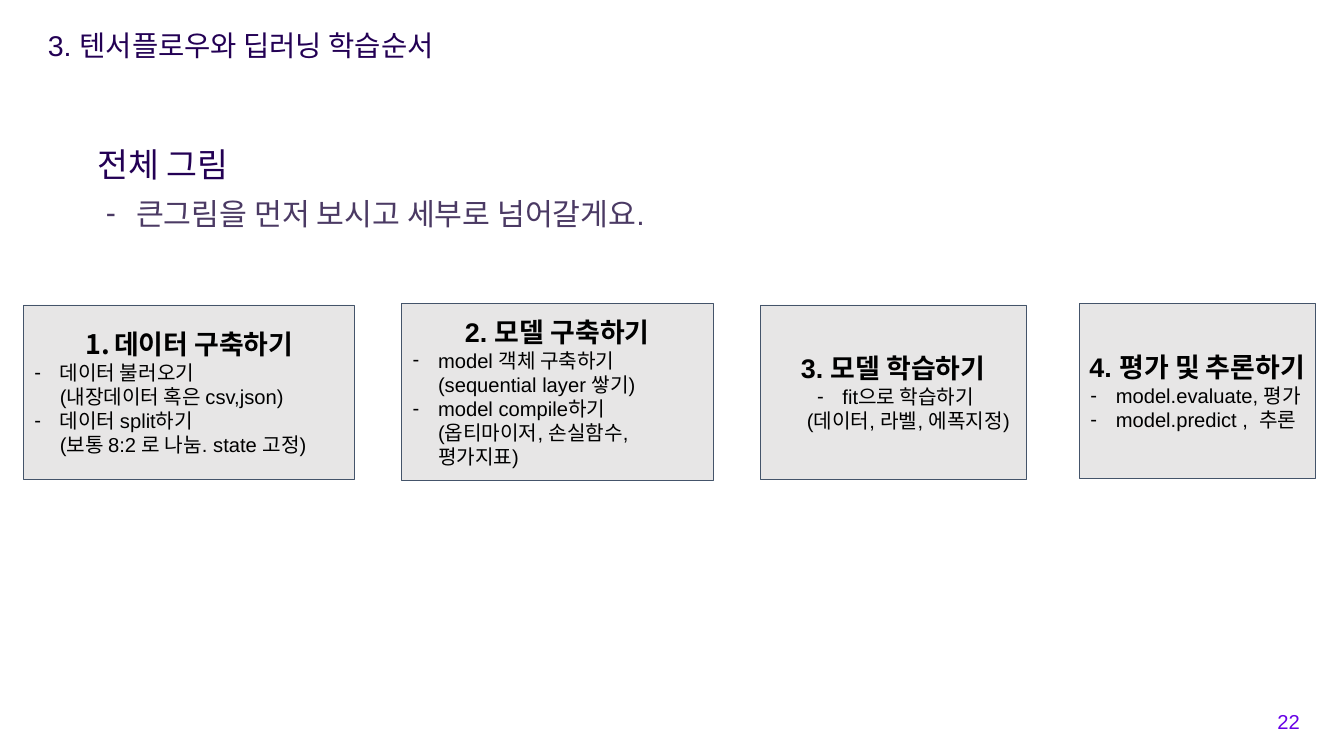
from dataclasses import dataclass

import lxml.etree
import pptx
import pptx.dml.color
import pptx.enum.shapes
import pptx.enum.text
import pptx.oxml.ns
import pptx.util

Inches = pptx.util.Inches
RGBColor = pptx.dml.color.RGBColor
Align = pptx.enum.text.PP_ALIGN
Anchor = pptx.enum.text.MSO_ANCHOR

INDIGO = RGBColor(0x23, 0x00, 0x54)
MUTED = RGBColor(0x4B, 0x3A, 0x64)
VIOLET = RGBColor(0x67, 0x00, 0xE6)
BLACK = RGBColor(0x00, 0x00, 0x00)
GRAY = RGBColor(0xE7, 0xE6, 0xE6)
SLATE = RGBColor(0x44, 0x54, 0x6A)


@dataclass
class Step:
    left: float
    top: float
    width: float
    height: float
    heading: str
    items: list[str]
    numbered: bool = False
    item_align: Align = Align.LEFT


STEPS = [
    Step(0.39, 5.04, 5.46, 2.89, "데이터 구축하기",
         ["데이터 불러오기\v(내장데이터 혹은 csv,json)",
          "데이터 split하기\v(보통 8:2 로 나눔. state 고정)"], numbered=True),
    Step(6.64, 5.02, 5.14, 2.93, "2. 모델 구축하기",
         ["model 객체 구축하기\v(sequential layer 쌓기)",
          "model compile하기\v(옵티마이저, 손실함수, 평가지표)"]),
    Step(12.56, 5.04, 4.4, 2.89, "3. 모델 학습하기",
         ["fit으로 학습하기\v(데이터, 라벨, 에폭지정)"], item_align=Align.CENTER),
    Step(17.84, 5.02, 3.89, 2.89, "4. 평가 및 추론하기",
         ["model.evaluate, 평가", "model.predict ,  추론"]),
]


def place(sp, left: float, top: float, width: float, height: float) -> None:
    sp.left, sp.top = Inches(left), Inches(top)
    sp.width, sp.height = Inches(width), Inches(height)


def prepare_frame(sp, anchor: Anchor = Anchor.TOP, inset: float = 0.05):
    """Set wrapping, anchor and insets, and return the text frame."""
    tf = sp.text_frame
    tf.word_wrap = True
    tf.auto_size = pptx.enum.text.MSO_AUTO_SIZE.NONE
    tf.vertical_anchor = anchor
    tf.margin_left = tf.margin_right = Inches(0.1)
    tf.margin_top = tf.margin_bottom = Inches(inset)
    return tf


def set_bullet(p, color: RGBColor, mark: str, hanging: float) -> None:
    """Give a paragraph a dash, a number ("1.") or, if mark is empty, no bullet."""
    pPr = p._p.get_or_add_pPr()
    pPr.set("marL", str(Inches(0.5) if mark else 0))
    pPr.set("indent", str(-Inches(hanging) if mark else 0))

    def add(parent, tag: str, **attributes: str):
        return lxml.etree.SubElement(parent, pptx.oxml.ns.qn(tag), **attributes)

    if not mark:
        add(pPr, "a:buNone")
        return
    add(add(pPr, "a:buClr"), "a:srgbClr", val=str(color))
    add(pPr, "a:buFont", typeface="Arial")
    if mark == "1.":
        add(pPr, "a:buAutoNum", type="arabicPeriod")
    else:
        add(pPr, "a:buChar", char=mark)


def write(tf, text: str, *, size: int, color: RGBColor, bold: bool = False,
          align: Align = Align.LEFT, mark: str = "", hanging: float = 0.42,
          spacing: float = 1.0) -> None:
    """Fill the empty first paragraph, or add another one."""
    p = tf.paragraphs[0] if not tf.text else tf.add_paragraph()
    p.text = text
    set_bullet(p, color, mark, hanging)
    p.alignment = align
    p.line_spacing = spacing
    p.space_before = pptx.util.Pt(0)
    for r in p.runs:
        r.font.name = "Arial"
        r.font.size = pptx.util.Pt(size)
        r.font.bold = bold
        r.font.color.rgb = color


def add_step(s, step: Step) -> None:
    sp = s.shapes.add_shape(pptx.enum.shapes.MSO_SHAPE.RECTANGLE, 0, 0, 0, 0)
    place(sp, step.left, step.top, step.width, step.height)
    sp.shadow.inherit = False
    sp.fill.solid()
    sp.fill.fore_color.rgb = GRAY
    sp.line.color.rgb = SLATE
    sp.line.width = pptx.util.Pt(0.75)
    tf = prepare_frame(sp, Anchor.MIDDLE, inset=0.1)
    write(tf, step.heading, size=32, color=BLACK, bold=True, align=Align.CENTER,
          mark="1." if step.numbered else "", hanging=0.47)
    for item in step.items:
        write(tf, item, size=24, color=BLACK, align=step.item_align, mark="-")


def main() -> None:
    prs = pptx.Presentation()
    prs.slide_width, prs.slide_height = Inches(22.21), Inches(12.5)
    s = prs.slides.add_slide(prs.slide_layouts.get_by_name("Two Content"))
    title, subheading, intro = s.placeholders

    place(title, 0.69, 0.42, 17.41, 0.73)
    write(prepare_frame(title), "3. 텐서플로우와 딥러닝 학습순서", size=34, color=INDIGO)
    place(subheading, 1.51, 2.33, 15.05, 0.73)
    write(prepare_frame(subheading), "전체 그림", size=40, color=INDIGO)
    place(intro, 1.65, 2.88, 19.28, 1.92)
    write(prepare_frame(intro), "큰그림을 먼저 보시고 세부로 넘어갈게요.", size=36,
          color=MUTED, mark="-", hanging=0.5, spacing=1.5)

    for step in STEPS:
        add_step(s, step)

    number = s.shapes.add_textbox(0, 0, 0, 0)
    place(number, 16.58, 11.6, 5, 0.67)
    write(prepare_frame(number, Anchor.MIDDLE), "22", size=24, color=VIOLET,
          align=Align.RIGHT)
    prs.save("out.pptx")


if __name__ == "__main__":
    main()
